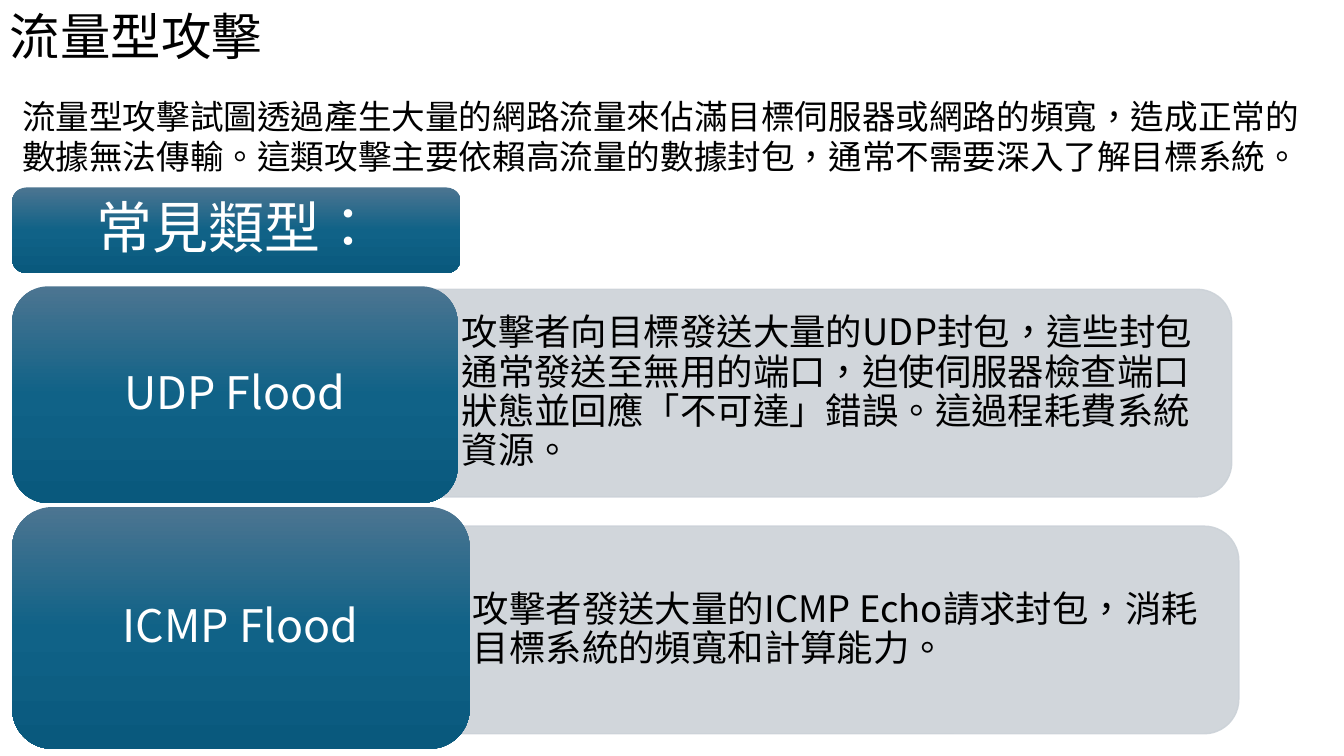
"""Build a slide on volumetric attacks with two common types."""
from dataclasses import dataclass

from lxml import etree
from pptx import Presentation
from pptx.dml.color import RGBColor
from pptx.enum.shapes import MSO_SHAPE
from pptx.enum.text import MSO_ANCHOR, MSO_AUTO_SIZE, PP_ALIGN
from pptx.oxml import parse_xml
from pptx.oxml.ns import nsdecls, qn
from pptx.shapes.autoshape import Shape
from pptx.slide import Slide
from pptx.util import Pt

ROUND = MSO_SHAPE.ROUNDED_RECTANGLE
ROUND_TOP = MSO_SHAPE.ROUND_2_SAME_RECTANGLE
MIDDLE = MSO_ANCHOR.MIDDLE
LEFT = PP_ALIGN.LEFT
CENTER = PP_ALIGN.CENTER
GROW = MSO_AUTO_SIZE.SHAPE_TO_FIT_TEXT

BLACK = RGBColor(0x00, 0x00, 0x00)
WHITE = RGBColor(0xFF, 0xFF, 0xFF)
GREY = RGBColor(0xCC, 0xD2, 0xD8)
BLUES = (
    (0, RGBColor(0x4C, 0x75, 0x91)),
    (50, RGBColor(0x10, 0x62, 0x87)),
    (100, RGBColor(0x09, 0x59, 0x7D)),
)
FONT = "Noto Sans CJK SC"
PAD = 7.2
INDENT = 26


@dataclass(frozen=True)
class Box:
    left: float
    top: float
    width: float
    height: float


@dataclass(frozen=True)
class Note:
    box: Box
    text: str
    size: float


@dataclass(frozen=True)
class Attack:
    label: Note
    panel: Note


NOTES = (
    Note(Box(0, 0, 480, 51), "流量型攻擊", 36),
    Note(
        Box(8.64, 64.8, 935.28, 65.52),
        "流量型攻擊試圖透過產生大量的網路流量來佔滿目標伺服器或網路的頻寬，造成正常的"
        "數據無法傳輸。這類攻擊主要依賴高流量的數據封包，通常不需要深入了解目標系統。",
        24,
    ),
)
HEAD = Note(Box(8.64, 133.92, 320.4, 61.2), "常見類型：", 40)
ATTACKS = (
    Attack(
        Note(Box(8.64, 204.48, 318.24, 154.8), "UDP Flood", 32),
        Note(
            Box(303.84, 206.64, 576, 148.32),
            "攻擊者向目標發送大量的UDP封包，這些封包通常發送至無用的端口，"
            "迫使伺服器檢查端口狀態並回應「不可達」錯誤。這過程耗費系統資源。",
            26,
        ),
    ),
    Attack(
        Note(Box(8.64, 362.16, 326.88, 172.8), "ICMP Flood", 32),
        Note(
            Box(311.76, 375.84, 573.12, 148.32),
            "攻擊者發送大量的ICMP Echo請求封包，消耗目標系統的頻寬和計算能力。",
            26,
        ),
    ),
)


def place(box: Box) -> tuple[Pt, Pt, Pt, Pt]:
    return Pt(box.left), Pt(box.top), Pt(box.width), Pt(box.height)


def write(shape: Shape, note: Note, color: RGBColor, align: PP_ALIGN) -> None:
    shape.text_frame.word_wrap = True
    para = shape.text_frame.paragraphs[0]
    para.alignment = align
    run = para.add_run()
    run.text = note.text
    run.font.name = FONT
    run.font.size = Pt(note.size)
    run.font.color.rgb = color
    props = run.font._element
    props.set("lang", "zh-TW")
    etree.SubElement(props, qn("a:ea")).set("typeface", FONT)


def add_note(slide: Slide, note: Note) -> None:
    shape = slide.shapes.add_textbox(*place(note.box))
    write(shape, note, BLACK, LEFT)
    shape.text_frame.auto_size = GROW


def add_label(slide: Slide, note: Note) -> None:
    shape = slide.shapes.add_shape(ROUND, *place(note.box))
    stops = "".join(
        f'<a:gs pos="{spot * 1000}"><a:srgbClr val="{color}"/></a:gs>'
        for spot, color in BLUES
    )
    shape.element.spPr.insert(2, parse_xml(
        f'<a:gradFill {nsdecls("a")} rotWithShape="1"><a:gsLst>{stops}</a:gsLst>'
        '<a:lin ang="5400000" scaled="0"/></a:gradFill>'
    ))
    shape.line.fill.background()
    shape.shadow.inherit = False
    shape.text_frame.vertical_anchor = MIDDLE
    write(shape, note, WHITE, CENTER)
    shape.text_frame.paragraphs[0].line_spacing = 0.9


def add_panel(slide: Slide, note: Note) -> None:
    box = note.box
    shift = (box.width - box.height) / 2
    turned = Box(box.left + shift, box.top - shift, box.height, box.width)
    shape = slide.shapes.add_shape(ROUND_TOP, *place(turned))
    shape.rotation = 90
    shape.fill.solid()
    shape.fill.fore_color.rgb = GREY
    shape.line.color.rgb = GREY
    shape.line.width = Pt(1)
    shape.shadow.inherit = False
    for color in shape.element.spPr.iter(qn("a:srgbClr")):
        etree.SubElement(color, qn("a:alpha")).set("val", "90000")

    inner = Box(box.left, box.top + PAD, box.width - PAD, box.height - 2 * PAD)
    body = slide.shapes.add_textbox(*place(inner))
    write(body, note, BLACK, LEFT)
    body.text_frame.margin_left = Pt(INDENT)
    body.text_frame.vertical_anchor = MIDDLE
    body.text_frame.paragraphs[0].line_spacing = 0.9


def main() -> None:
    deck = Presentation()
    deck.slide_width, deck.slide_height = Pt(960), Pt(540)
    slide = deck.slides.add_slide(deck.slide_layouts[6])
    for note in NOTES:
        add_note(slide, note)
    add_label(slide, HEAD)
    for attack in ATTACKS:
        add_panel(slide, attack.panel)
        add_label(slide, attack.label)
    deck.save("out.pptx")


if __name__ == "__main__":
    main()
